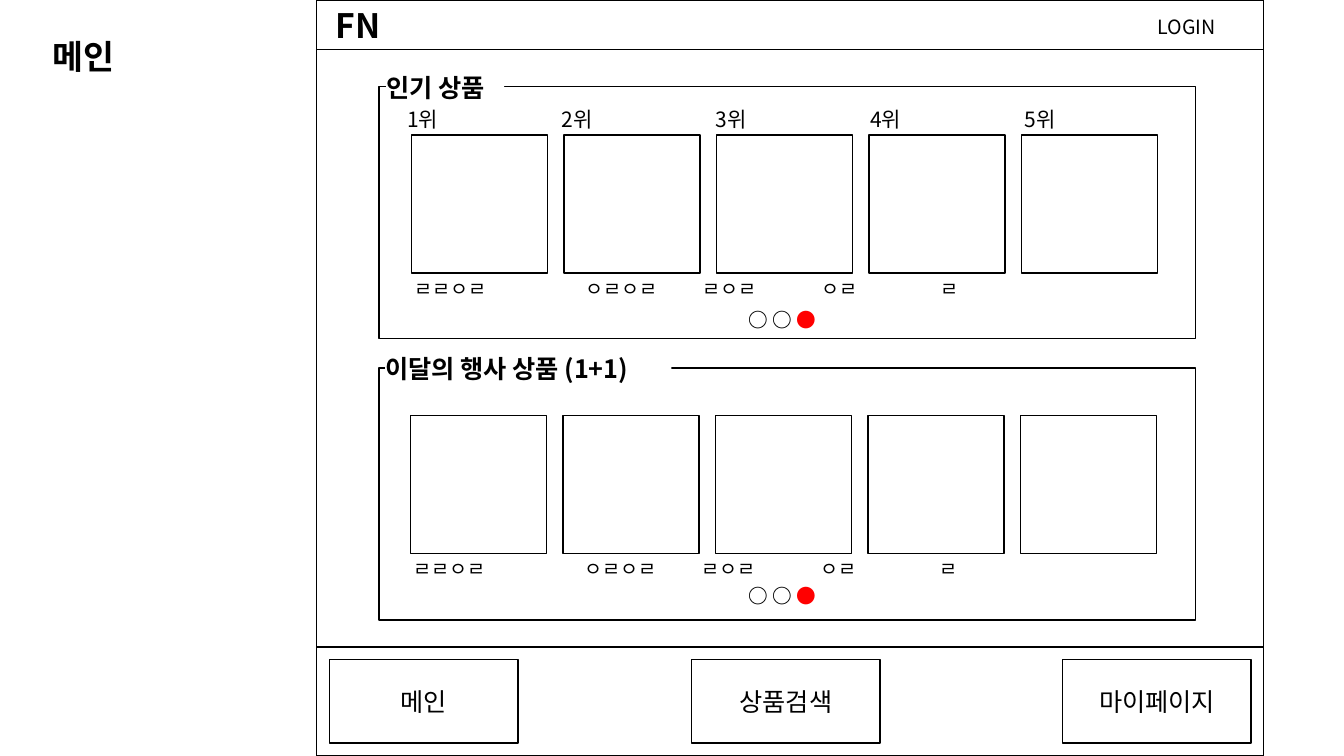
from dataclasses import dataclass

from pptx import Presentation
from pptx.dml.color import RGBColor
from pptx.enum.shapes import MSO_SHAPE as Kind
from pptx.enum.text import MSO_ANCHOR as Anchor, MSO_AUTO_SIZE as Fit, PP_ALIGN as Align
from pptx.oxml.ns import qn
from pptx.oxml.xmlchemy import OxmlElement as Node
from pptx.util import Inches, Pt

FONT = "Noto Sans CJK KR"
BLACK = RGBColor(0, 0, 0)
WHITE = RGBColor(255, 255, 255)
RED = RGBColor(255, 0, 0)

LEFT, WIDE = 3.14, 9.39
STEP = 1.513
NAMES = "ㄹㄹㅇㄹ\tㅇㄹㅇㄹ\tㄹㅇㄹ\tㅇㄹ\tㄹ"
STOPS = (1.7, 2.86, 4.04, 5.22)


@dataclass(frozen=True)
class Box:
    """A place on the slide, in inches."""
    left: float
    top: float
    width: float
    height: float


@dataclass(frozen=True)
class Panel:
    """A framed row of five goods."""
    title: str
    top: float
    head: Box
    cards: Box
    names: Box
    dots: Box
    ranks: bool = False


PANELS = (
    Panel("인기 상품", 0.86, Box(3.83, 0.72, 1.17, 0.29), Box(4.08, 1.34, 1.35, 1.37),
          Box(4.11, 2.75, 6.75, 0.23), Box(7.42, 3.05, 0.77, 0.23), ranks=True),
    Panel("이달의 행사 상품 (1+1)", 3.65, Box(3.82, 3.5, 2.84, 0.29),
          Box(4.07, 4.12, 1.35, 1.37), Box(4.1, 5.53, 6.75, 0.23),
          Box(7.42, 5.79, 0.77, 0.23)),
)


def place(shape, box: Box) -> None:
    """Move and size a shape."""
    shape.left, shape.top = Inches(box.left), Inches(box.top)
    shape.width, shape.height = Inches(box.width), Inches(box.height)


def add_run(para, text: str, size: float, bold: bool = False,
            color: RGBColor = BLACK) -> None:
    """Add one run in the slide's font."""
    run = para.add_run()
    run.text = text
    font = run.font
    font.name, font.size, font.bold = FONT, Pt(size), bold
    font.color.rgb = color
    east = Node("a:ea")
    east.set("typeface", FONT)
    font._element.find(qn("a:latin")).addnext(east)


def write(shape, text: str, size: float, bold: bool = False, align=Align.LEFT,
          anchor=Anchor.TOP, inset: bool = False, wrap: bool = False, fit=Fit.SHAPE_TO_FIT_TEXT):
    """Put text into a shape and return its paragraph."""
    frame = shape.text_frame
    frame.word_wrap, frame.auto_size = wrap, fit
    frame.vertical_anchor = anchor
    frame.margin_left = frame.margin_right = Inches(0.1 if inset else 0)
    frame.margin_top = frame.margin_bottom = Inches(0.05 if inset else 0)
    para = frame.paragraphs[0]
    para.alignment = align
    add_run(para, text, size, bold)
    return para


def add_box(slide, box: Box, line: bool = True, fill: bool = True):
    """Draw a rectangle, white and outlined unless told otherwise."""
    shape = slide.shapes.add_shape(Kind.RECTANGLE, 0, 0, 0, 0)
    place(shape, box)
    shape.shadow.inherit = False
    if fill:
        shape.fill.solid()
        shape.fill.fore_color.rgb = WHITE
    else:
        shape.fill.background()
    if line:
        shape.line.color.rgb = BLACK
        shape.line.width = Pt(1)
    else:
        shape.line.fill.background()
    return shape


def add_label(slide, box: Box, text: str, size: float, **style):
    """Draw a white label without outline."""
    return write(add_box(slide, box, line=False), text, size, **style)


def set_tabs(para, stops: tuple[float, ...]) -> None:
    """Give a paragraph left tab stops."""
    tabs = Node("a:tabLst")
    for stop in stops:
        tab = Node("a:tab")
        tab.set("pos", str(Inches(stop)))
        tab.set("algn", "l")
        tabs.append(tab)
    para._p.get_or_add_pPr().append(tabs)


def add_panel(slide, panel: Panel) -> None:
    """Draw a frame with its heading, cards, names and page dots."""
    add_box(slide, Box(3.76, panel.top, 8.1, 2.5))
    add_label(slide, panel.head, panel.title, 18, bold=True)
    card = panel.cards
    for i in range(5):
        add_box(slide, Box(card.left + i * STEP, card.top, card.width, card.height))
        if panel.ranks:
            add_label(slide, Box(4.04 + i * 1.53, 1.06, 0.36, 0.24), f"{i + 1}위", 15)
    set_tabs(add_label(slide, panel.names, NAMES, 14, wrap=True), STOPS)
    dots = add_label(slide, panel.dots, "○ ○ ", 14, bold=True)
    add_run(dots, "●", 14, bold=True, color=RED)


def build() -> None:
    """Build the main page and save it."""
    deck = Presentation()
    deck.slide_width, deck.slide_height = Inches(13.33), Inches(7.5)
    slide = deck.slides.add_slide(deck.slide_layouts[5])

    title = slide.shapes.title
    place(title, Box(0.42, 0.31, 0.88, 0.5))
    write(title, "메인", 24, bold=True, inset=True)

    add_box(slide, Box(LEFT, 0, WIDE, 6.42))
    add_label(slide, Box(11.48, 0.15, 0.65, 0.23), "LOGIN", 14)
    mark = slide.shapes.add_textbox(0, 0, 0, 0)
    place(mark, Box(3.23, 0, 0.71, 0.48))
    write(mark, "FN", 24, bold=True, inset=True)
    add_box(slide, Box(LEFT, 0, WIDE, 0.49), fill=False)

    add_box(slide, Box(LEFT, 6.42, WIDE, 1.08))
    for left, text in ((3.27, "메인"), (6.86, "상품검색"), (10.54, "마이페이지")):
        button = add_box(slide, Box(left, 6.54, 1.87, 0.83))
        write(button, text, 18, align=Align.CENTER, anchor=Anchor.MIDDLE,
              inset=True, wrap=True, fit=Fit.NONE)

    for panel in PANELS:
        add_panel(slide, panel)
    deck.save("out.pptx")


build()
